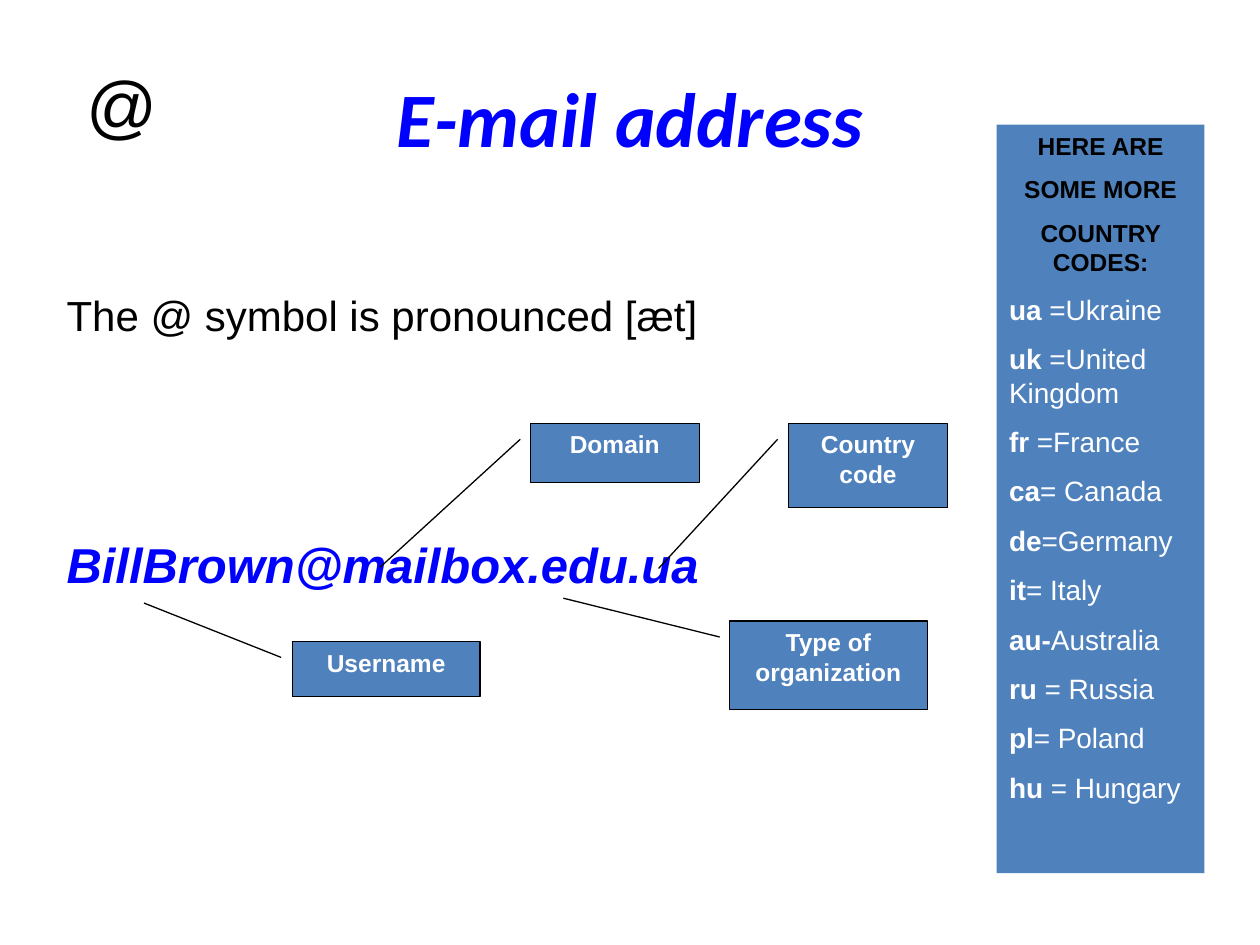
from pptx import Presentation
from pptx.dml.color import RGBColor
from pptx.enum.shapes import MSO_SHAPE
from pptx.enum.text import MSO_ANCHOR, PP_ALIGN
from pptx.util import Inches, Pt

RECT = MSO_SHAPE.RECTANGLE
CALLOUT = MSO_SHAPE.LINE_CALLOUT_1
LEFT, CENTER = PP_ALIGN.LEFT, PP_ALIGN.CENTER
TOP, MIDDLE = MSO_ANCHOR.TOP, MSO_ANCHOR.MIDDLE
COLORS = {"black": "000000", "white": "FFFFFF", "blue": "0000FF", "steel": "4F81BD"}

deck = Presentation()
deck.slide_width, deck.slide_height = Inches(10), Inches(7.5)
slide = deck.slides.add_slide(deck.slide_layouts[6])


def add_box(place, kind=None, anchor=TOP, wrap=True):
    area = [Inches(n) for n in place]
    if kind is None:
        box = slide.shapes.add_textbox(*area)
    else:
        box = slide.shapes.add_shape(kind, *area)
        box.shadow.inherit = False
        box.fill.solid()
        box.fill.fore_color.rgb = RGBColor.from_string(COLORS["steel"])
        box.line.fill.background()
    box.text_frame.word_wrap = wrap
    box.text_frame.vertical_anchor = anchor
    return box


def add_text(box, runs, size, color, align=LEFT, gap=0, font="Arial", italic=False):
    frame = box.text_frame
    para = frame.paragraphs[0]
    if para.runs:
        para = frame.add_paragraph()
    para.alignment = align
    para.space_before = Pt(gap)
    for text, bold in runs:
        run = para.add_run()
        run.text = text
        run.font.name = font
        run.font.size = Pt(size)
        run.font.bold = bold
        run.font.italic = italic
        run.font.color.rgb = RGBColor.from_string(COLORS[color])


title = add_box((0.5, 0.3, 9, 1.25), anchor=MIDDLE)
add_text(title, [("Е-mail address", True)], 44, "blue", CENTER, font="Calibri", italic=True)

body = add_box((0.43, 2.25, 7.8, 2.6))
add_text(body, [("The @ symbol is pronounced [æt]", False)], 24, "black")
add_text(body, [("BillBrown@mailbox.edu.ua", True)], 28, "blue", gap=111, italic=True)

labels = [
    ("Country code", (6.26, 3.36, 1.26, 0.67), (0.19, -0.07, 1.72, -0.82)),
    ("Type of organization", (5.79, 4.93, 1.57, 0.7), (0.18, -0.05, -0.26, -0.84)),
    ("Domain", (4.21, 3.36, 1.34, 0.47), (0.27, -0.06, 2.43, -0.89)),
    ("Username", (2.32, 5.09, 1.49, 0.44), (0.29, -0.06, -0.69, -0.79)),
]
for text, place, tail in labels:
    label = add_box(place, CALLOUT)
    label.line.color.rgb = RGBColor.from_string(COLORS["black"])
    label.line.width = Pt(0.75)
    for i, value in enumerate(tail):
        label.adjustments[i] = value
    add_text(label, [(text, True)], 14, "white", CENTER)

panel = add_box((7.91, 0.99, 1.65, 5.94), RECT)
for i, text in enumerate(["HERE ARE", "SOME MORE", "COUNTRY CODES:"]):
    add_text(panel, [(text, True)], 14, "black", CENTER, gap=8 if i else 0)

codes = [
    ("ua ", "=Ukraine"),
    ("uk ", "=United Kingdom"),
    ("fr ", "=France"),
    ("ca", "= Canada"),
    ("de", "=Germany"),
    ("it", "= Italy"),
    ("au-", "Australia"),
    ("ru ", "= Russia"),
    ("pl", "= Poland"),
    ("hu", " = Hungary"),
]
for code, land in codes:
    add_text(panel, [(code, True), (land, False)], 16, "white", gap=9)

sign = add_box((0.59, 0.44, 0.77, 0.77), wrap=False)
add_text(sign, [("@", False)], 40, "black")

deck.save("out.pptx")
